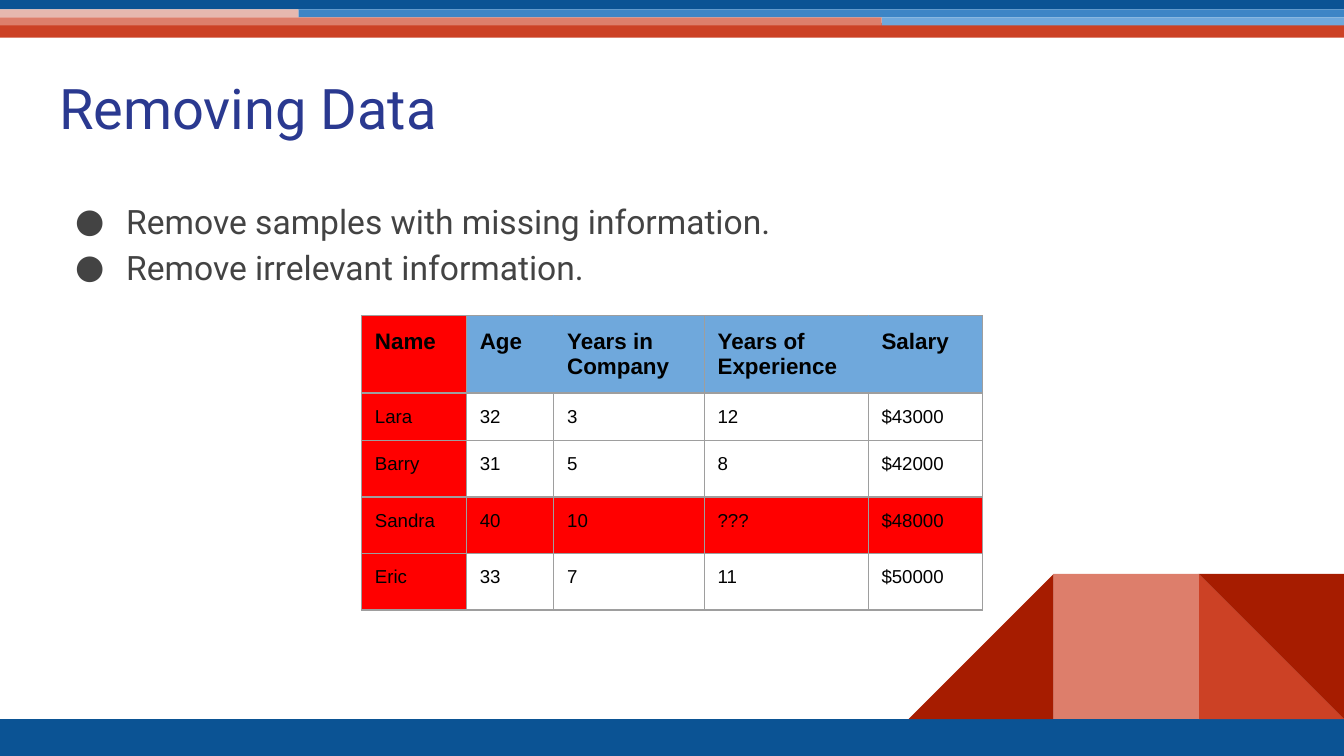
from lxml import etree
from pptx import Presentation
from pptx import util as u
from pptx.dml.color import RGBColor
from pptx.enum import shapes, text
from pptx.oxml.ns import qn

NAVY = RGBColor(0x0B, 0x53, 0x94)
BLUE = RGBColor(0x3D, 0x85, 0xC6)
SKY = RGBColor(0x6F, 0xA8, 0xDC)
BRICK = RGBColor(0xCC, 0x41, 0x25)
MAROON = RGBColor(0xA6, 0x1C, 0x00)
SALMON = RGBColor(0xDD, 0x7E, 0x6B)
BLUSH = RGBColor(0xE6, 0xB8, 0xAF)
INDIGO = RGBColor(0x2A, 0x39, 0x90)
GRAPHITE = RGBColor(0x43, 0x43, 0x43)
GREY = RGBColor(0x9E, 0x9E, 0x9E)
RED = RGBColor(0xFF, 0x00, 0x00)
BLACK = RGBColor(0x00, 0x00, 0x00)

RECT = shapes.MSO_SHAPE.RECTANGLE
TRIANGLE = shapes.MSO_SHAPE.RIGHT_TRIANGLE


class SlideBuilder:
    heading_font = "Roboto"
    table_font = "Arial"
    margin = u.Inches(0.1)

    def __init__(self, slide):
        self.slide = slide

    def set_font(self, para, name, size, color, bold=False):
        para.font.name = name
        para.font.size = u.Pt(size)
        para.font.color.rgb = color
        para.font.bold = bold

    def set_margins(self, target):
        target.margin_left = target.margin_right = self.margin
        target.margin_top = target.margin_bottom = self.margin

    def prepare_frame(self, frame):
        self.set_margins(frame)
        frame.word_wrap = True
        frame.auto_size = text.MSO_AUTO_SIZE.NONE
        frame.vertical_anchor = text.MSO_ANCHOR.TOP

    def block(self, kind, left, top, width, height, color, rotation=0):
        shape = self.slide.shapes.add_shape(
            kind, u.Inches(left), u.Inches(top), u.Inches(width), u.Inches(height))
        shape.shadow.inherit = False
        shape.fill.solid()
        shape.fill.fore_color.rgb = color
        shape.line.fill.background()
        shape.rotation = rotation

    def title(self, wording, left, top, width, height):
        title = self.slide.shapes.title
        title.left, title.top = u.Inches(left), u.Inches(top)
        title.width, title.height = u.Inches(width), u.Inches(height)
        self.prepare_frame(title.text_frame)
        title.text_frame.text = wording
        para = title.text_frame.paragraphs[0]
        para.alignment = text.PP_ALIGN.LEFT
        self.set_font(para, self.heading_font, 30, INDIGO)

    def bullets(self, lines, left, top, width, height):
        box = self.slide.shapes.add_textbox(
            u.Inches(left), u.Inches(top), u.Inches(width), u.Inches(height))
        self.prepare_frame(box.text_frame)
        box.text_frame.text = "\n".join(lines)
        for para in box.text_frame.paragraphs:
            para.line_spacing = 1.15
            self.set_font(para, self.heading_font, 18, GRAPHITE)
            props = para._p.get_or_add_pPr()
            props.set("marL", str(u.Inches(0.5)))
            props.set("indent", str(u.Inches(-0.38)))
            etree.SubElement(props, qn("a:buFont")).set("typeface", self.heading_font)
            etree.SubElement(props, qn("a:buChar")).set("char", "●")

    def borders(self, cell, colors):
        props = cell._tc.get_or_add_tcPr()
        for index, (side, color) in enumerate(colors.items()):
            line = etree.Element(qn("a:ln" + side), w=str(u.Pt(0.75)))
            fill = etree.SubElement(line, qn("a:solidFill"))
            etree.SubElement(fill, qn("a:srgbClr")).set("val", str(color))
            props.insert(index, line)

    def table(self, rows, left, top, widths, heights, fill_for, border_for):
        table = self.slide.shapes.add_table(
            len(rows), len(widths), u.Inches(left), u.Inches(top),
            u.Inches(sum(widths)), u.Inches(sum(heights))).table
        table.first_row = table.horz_banding = False
        for column, width in zip(table.columns, widths):
            column.width = u.Inches(width)
        for r, (row, height) in enumerate(zip(rows, heights)):
            table.rows[r].height = u.Inches(height)
            for c, wording in enumerate(row):
                cell = table.cell(r, c)
                self.set_margins(cell)
                cell.text = wording
                for para in cell.text_frame.paragraphs:
                    self.set_font(para, self.table_font, 10 if r else 12, BLACK, r == 0)
                color = fill_for(r, c)
                if color is None:
                    cell.fill.background()
                else:
                    cell.fill.solid()
                    cell.fill.fore_color.rgb = color
                self.borders(cell, border_for(r, c))


def sample_fill(row, column):
    """Red marks what is removed: the name column and the incomplete sample."""
    if column == 0 or row == 3:
        return RED
    return SKY if row == 0 else None


def sample_border(row, column):
    """Two inner edges of the header blend into its fill."""
    return {
        "L": SKY if row == 0 and column in (2, 4) else GREY,
        "R": SKY if row == 0 and column in (1, 3) else GREY,
        "T": GREY,
        "B": GREY,
    }


def main():
    deck = Presentation()
    deck.slide_width = u.Inches(10)
    deck.slide_height = u.Inches(10 * 9 / 16)
    page = SlideBuilder(deck.slides.add_slide(deck.slide_layouts[5]))

    # Top stripes and bottom bar
    for left, top, width, height, color in (
        (0, 0.17, 10, 0.11, BRICK),
        (0, 5.35, 10, 0.28, NAVY),
        (0, -0.04, 10, 0.11, NAVY),
        (2.22, 0.07, 7.78, 0.06, BLUE),
        (6.56, 0.13, 3.44, 0.06, SKY),
        (0, 0.07, 2.22, 0.06, BLUSH),
        (0, 0.13, 6.56, 0.06, SALMON),
    ):
        page.block(RECT, left, top, width, height, color)

    # Corner ornament: equal tiles ending at the right edge
    tile = 1.08
    for kind, steps, color, rotation in (
        (TRIANGLE, 1, BRICK, 0),
        (TRIANGLE, 3, MAROON, 270),
        (RECT, 2, SALMON, 0),
        (TRIANGLE, 1, MAROON, 180),
    ):
        page.block(kind, 10 - steps * tile, 4.27, tile, tile, color, rotation)

    # Title and bullets
    page.title("Removing Data", 0.34, 0.45, 9.32, 0.66)
    page.bullets(["Remove samples with missing information.",
                  "Remove irrelevant information."], 0.34, 1.35, 9.32, 3.65)

    # Sample table
    rows = [
        ("Name", "Age", "Years in\nCompany", "Years of Experience", "Salary"),
        ("Lara", "32", "3", "12", "$43000"),
        ("Barry", "31", "5", "8", "$42000"),
        ("Sandra", "40", "10", "???", "$48000"),
        ("Eric", "33", "7", "11", "$50000"),
    ]
    page.table(rows, 2.69, 2.35, [0.78, 0.65, 1.12, 1.22, 0.85],
               [0.47, 0.28, 0.42, 0.42, 0.42], sample_fill, sample_border)

    deck.save("out.pptx")


if __name__ == "__main__":
    main()
